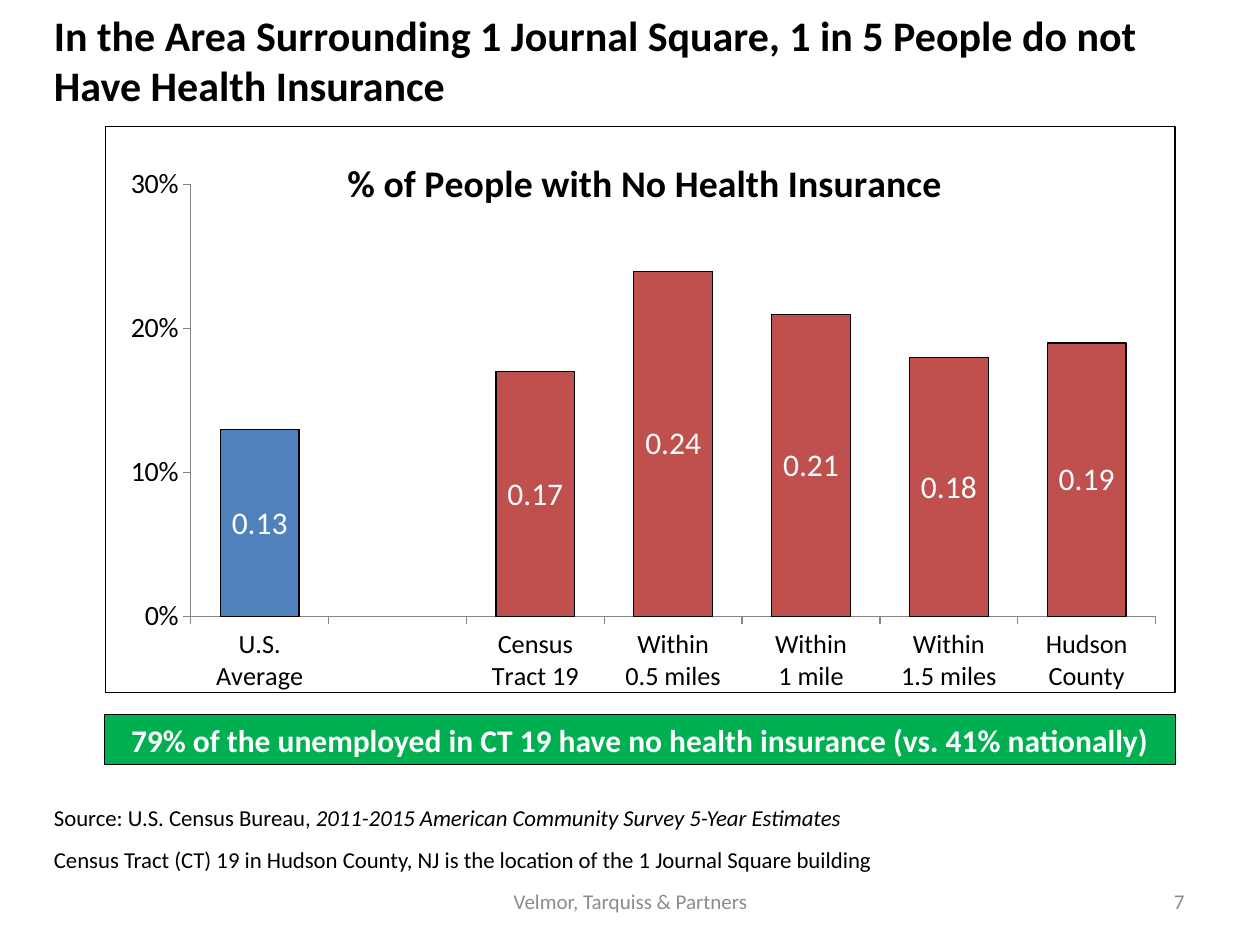
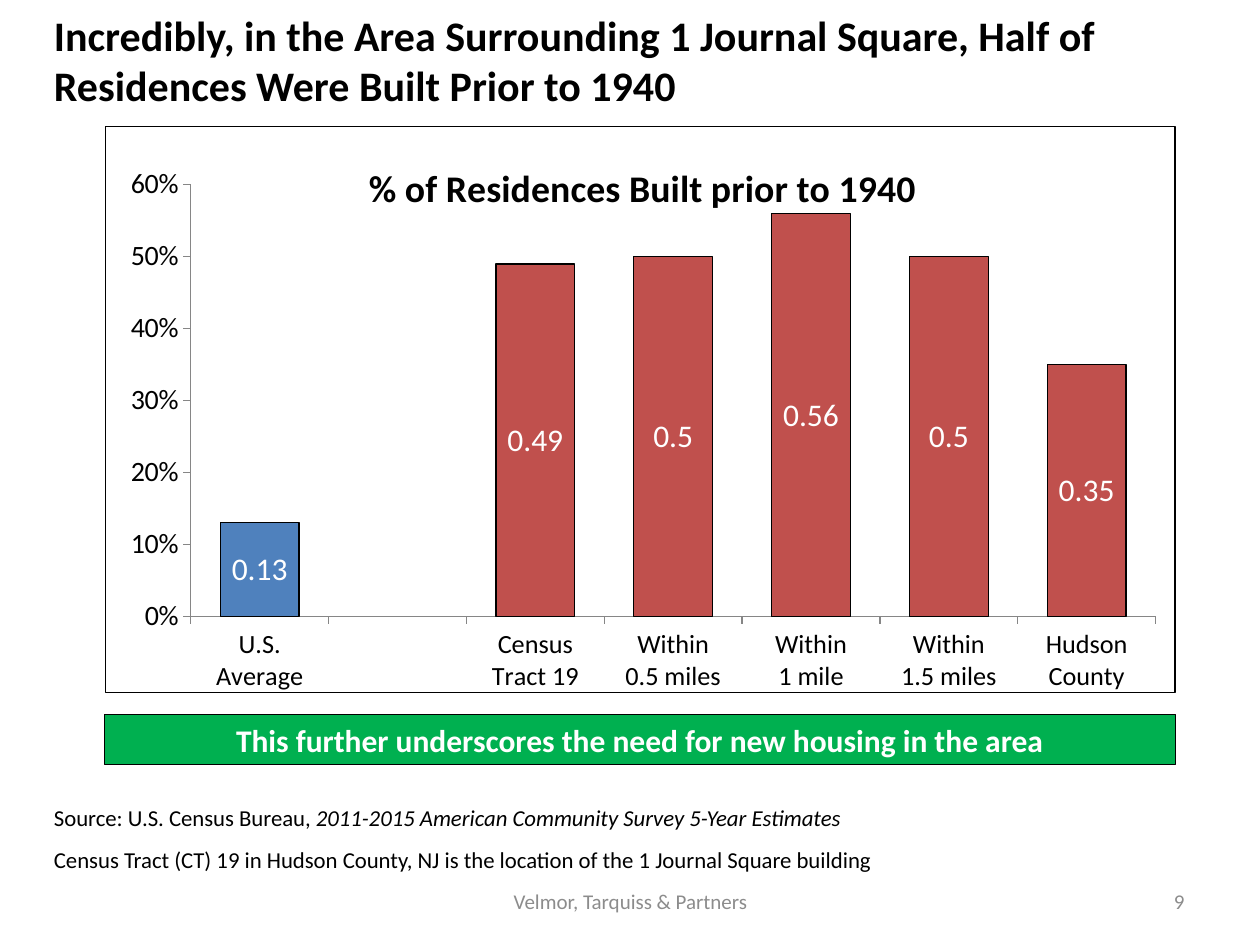
from dataclasses import dataclass

from pptx import Presentation
from pptx.chart.data import CategoryChartData
from pptx.dml.color import RGBColor
from pptx.enum.chart import XL_CHART_TYPE, XL_LABEL_POSITION, XL_TICK_MARK
from pptx.enum.shapes import MSO_SHAPE
from pptx.enum.text import MSO_ANCHOR, PP_ALIGN
from pptx.oxml import parse_xml
from pptx.oxml.ns import nsdecls, qn
from pptx.util import Inches, Pt

LEFT, CENTER, RIGHT = PP_ALIGN.LEFT, PP_ALIGN.CENTER, PP_ALIGN.RIGHT
TOP, MIDDLE = MSO_ANCHOR.TOP, MSO_ANCHOR.MIDDLE
COLUMNS = XL_CHART_TYPE.COLUMN_CLUSTERED
TICK_OUT, TICK_NONE = XL_TICK_MARK.OUTSIDE, XL_TICK_MARK.NONE
LABEL_CENTER = XL_LABEL_POSITION.CENTER


@dataclass(frozen=True)
class Theme:
    font: str = "Calibri"
    black: RGBColor = RGBColor(0x00, 0x00, 0x00)
    white: RGBColor = RGBColor(0xFF, 0xFF, 0xFF)
    gray: RGBColor = RGBColor(0x8C, 0x8C, 0x8C)
    axis: RGBColor = RGBColor(0x86, 0x86, 0x86)
    green: RGBColor = RGBColor(0x00, 0xB0, 0x50)
    red: RGBColor = RGBColor(0xC0, 0x50, 0x4D)
    blue: RGBColor = RGBColor(0x4F, 0x81, 0xBD)
    title_size: Pt = Pt(24)
    chart_title_size: Pt = Pt(21.6)
    body_size: Pt = Pt(18)
    value_axis_size: Pt = Pt(16)
    category_axis_size: Pt = Pt(15)
    source_size: Pt = Pt(13)
    footer_size: Pt = Pt(12)
    outline: Pt = Pt(0.75)


theme = Theme()

FOOTER = "Velmor, Tarquiss & Partners"
SOURCE = "Source: U.S. Census Bureau, "
SURVEY = "2011-2015 American Community Survey 5-Year Estimates"
LOCATION_NOTE = ("Census Tract (CT) 19 in Hudson County, NJ is the location "
                 "of the 1 Journal Square building")
AREAS = ["U.S. Average", "", "Census\nTract 19", "Within\n0.5 miles",
         "Within\n1 mile", "Within\n1.5 miles", "Hudson\nCounty"]

SLIDES = [
    dict(number="7",
         title="In the Area Surrounding 1 Journal Square, 1 in 5 People do not "
               "Have Health Insurance",
         chart_title="% of People with No Health Insurance",
         chart_title_at=(0.22, 0.04),
         shares=[0.13, None, 0.17, 0.24, 0.21, 0.18, 0.19], axis_top=0.3,
         message="79% of the unemployed in CT 19 have no health insurance "
                 "(vs. 41% nationally)"),
    dict(number="9",
         title="Incredibly, in the Area Surrounding 1 Journal Square, Half of "
               "Residences Were Built Prior to 1940",
         chart_title="% of Residences Built prior to 1940",
         chart_title_at=(0.24, 0.05),
         shares=[0.13, None, 0.49, 0.5, 0.56, 0.5, 0.35], axis_top=0.6,
         message="This further underscores the need for new housing in the area"),
]


def write_text(shape, lines, size, color, align=LEFT, anchor=TOP, bold=False):
    """Fill a shape; each line is a list of (text, italic) runs."""
    frame = shape.text_frame
    frame.word_wrap = True
    frame.vertical_anchor = anchor
    for index, line in enumerate(lines):
        paragraph = frame.add_paragraph() if index else frame.paragraphs[0]
        paragraph.alignment = align
        font = paragraph.font
        font.name, font.size, font.bold = theme.font, size, bold
        font.color.rgb = color
        if index:
            paragraph.space_before = Pt(8.5)
        for text, italic in line:
            run = paragraph.add_run()
            run.text = text
            if italic:
                run.font.italic = True


def place_in_chart(element, position, **fractions):
    """Give a chart part a manual layout, as fractions of the chart's size."""
    old_layout = element.find(qn("c:layout"))
    if old_layout is not None:
        element.remove(old_layout)
    target = '<c:layoutTarget val="inner"/>' if "w" in fractions else ""
    modes = '<c:xMode val="edge"/><c:yMode val="edge"/>'
    sizes = "".join(f'<c:{key} val="{value}"/>' for key, value in fractions.items())
    element.insert(position, parse_xml(
        f'<c:layout {nsdecls("c")}><c:manualLayout>{target}{modes}{sizes}'
        '</c:manualLayout></c:layout>'))


presentation = Presentation()
presentation.slide_width, presentation.slide_height = Inches(10), Inches(7.5)

for content in SLIDES:
    slide = presentation.slides.add_slide(presentation.slide_layouts[6])

    # Footer, page number and title
    for text, box, size, color, align, bold in [
        (FOOTER, (2.92, 6.95, 4.17, 0.4), theme.footer_size, theme.gray, CENTER, False),
        (content["number"], (7.17, 6.95, 2.33, 0.4), theme.footer_size, theme.gray,
         RIGHT, False),
        (content["title"], (0.33, 0.12, 9.25, 0.71), theme.title_size, theme.black,
         LEFT, True),
    ]:
        text_box = slide.shapes.add_textbox(*map(Inches, box))
        write_text(text_box, [[(text, False)]], size, color, align, MIDDLE, bold)

    # Chart
    chart_data = CategoryChartData()
    chart_data.categories = AREAS
    chart_data.add_series("Series 1", content["shares"])
    chart = slide.shapes.add_chart(
        COLUMNS, Inches(0.83), Inches(1), Inches(8.5), Inches(4.5), chart_data).chart
    chart.has_legend = False
    chart.font.name, chart.font.size = theme.font, theme.body_size
    chart.font.color.rgb = theme.black
    chart_space = chart._chartSpace
    chart_space.find(qn("c:txPr")).addprevious(parse_xml(
        f'<c:spPr {nsdecls("c", "a")}><a:noFill/><a:ln w="{theme.outline}"><a:solidFill>'
        f'<a:srgbClr val="{theme.black}"/></a:solidFill></a:ln></c:spPr>'))
    place_in_chart(chart_space.chart.plotArea, 0, x=0.08, y=0.103, w=0.902, h=0.763)

    heading = chart.chart_title
    heading.text_frame.text = content["chart_title"]
    heading_font = heading.text_frame.paragraphs[0].font
    heading_font.name, heading_font.size = theme.font, theme.chart_title_size
    heading_font.bold = True
    heading_font.color.rgb = theme.black
    heading_x, heading_y = content["chart_title_at"]
    place_in_chart(heading._element, 1, x=heading_x, y=heading_y)
    heading._element.find(qn("c:overlay")).set("val", "1")

    value_axis, category_axis = chart.value_axis, chart.category_axis
    value_axis.minimum_scale, value_axis.maximum_scale = 0, content["axis_top"]
    value_axis.major_unit = 0.1
    value_axis.has_major_gridlines = False
    value_axis.tick_labels.number_format = "0%"
    value_axis.tick_labels.number_format_is_linked = False
    for axis, size in [(value_axis, theme.value_axis_size),
                       (category_axis, theme.category_axis_size)]:
        axis.major_tick_mark, axis.minor_tick_mark = TICK_OUT, TICK_NONE
        axis.tick_labels.font.size = size
        axis.format.line.color.rgb = theme.axis
        axis.format.line.width = theme.outline

    plot = chart.plots[0]
    plot.gap_width = 75
    plot.vary_by_categories = False
    series = plot.series[0]
    series.invert_if_negative = False
    for bar, color in [(series, theme.red), (series.points[0], theme.blue)]:
        bar.format.fill.solid()
        bar.format.fill.fore_color.rgb = color
        bar.format.line.color.rgb = theme.black
        bar.format.line.width = theme.outline
    labels = series.data_labels
    labels.show_value = True
    labels.position = LABEL_CENTER
    labels.number_format, labels.number_format_is_linked = "General", False
    labels.font.size = theme.body_size
    labels.font.color.rgb = theme.white

    # Source note and message band
    source_box = slide.shapes.add_textbox(
        Inches(0.33), Inches(6.33), Inches(7.33), Inches(0.66))
    write_text(source_box, [[(SOURCE, False), (SURVEY, True)], [(LOCATION_NOTE, False)]],
               theme.source_size, theme.black)

    band = slide.shapes.add_shape(
        MSO_SHAPE.RECTANGLE, Inches(0.83), Inches(5.67), Inches(8.5), Inches(0.4))
    band.shadow.inherit = False
    band.fill.solid()
    band.fill.fore_color.rgb = theme.green
    band.line.color.rgb = theme.black
    band.line.width = theme.outline
    write_text(band, [[(content["message"], False)]], theme.body_size, theme.white,
               CENTER, bold=True)

presentation.save("out.pptx")
